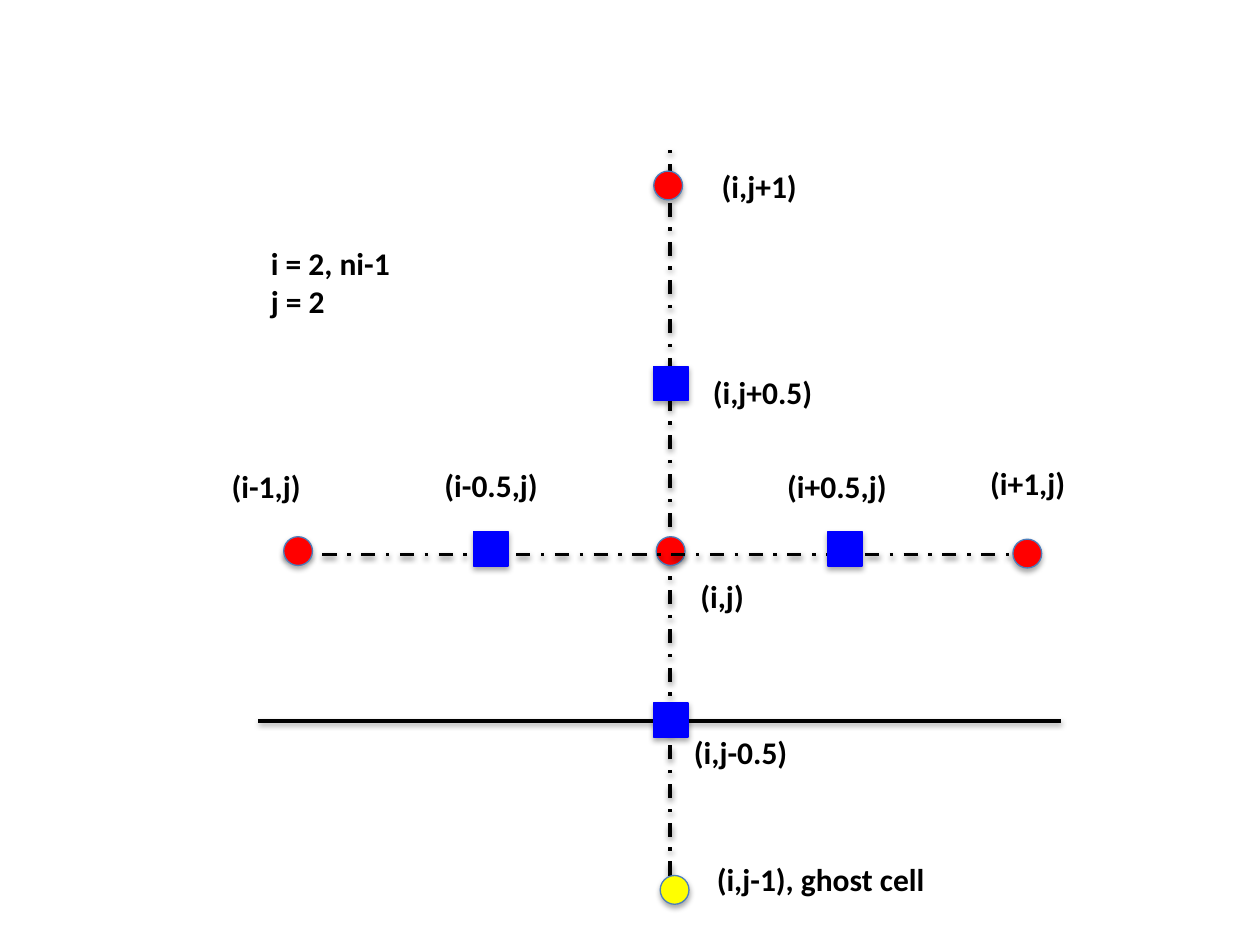
from lxml import etree
from pptx import Presentation
from pptx.dml.color import RGBColor
from pptx.enum import dml, shapes, text
from pptx.oxml import ns
from pptx.util import Cm, Pt

RED, YELLOW, BLUE, RIM, BLACK = "FF0000", "FFFF00", "0000FF", "4B7EBC", "000000"
CIRCLE = (shapes.MSO_SHAPE.OVAL, 0.58, RIM)
SQUARE = (shapes.MSO_SHAPE.RECTANGLE, 0.69, BLUE)


def rgb(value):
    return RGBColor.from_string(value)


def add_shadow(sp, dist, alpha):
    effects = etree.SubElement(sp._element.spPr, ns.qn("a:effectLst"))
    shadow = etree.SubElement(effects, ns.qn("a:outerShdw"), blurRad="40000",
                              dist=str(dist), dir="5400000", rotWithShape="0")
    color = etree.SubElement(shadow, ns.qn("a:srgbClr"), val=BLACK)
    etree.SubElement(color, ns.qn("a:alpha"), val=str(alpha * 1000))


prs = Presentation()
prs.slide_width, prs.slide_height = Cm(25.4), Cm(19.05)
s = prs.slides.add_slide(prs.slide_layouts[6])

# Wall, grid lines and nodes, from back to front
wall = (5.21, 14.53, 21.39, 14.53, None)
column = (13.51, 17.65, 13.51, 3.0, dml.MSO_LINE.DASH_DOT)
row = (5.72, 11.18, 20.7, 11.18, dml.MSO_LINE.DASH_DOT)
column_nodes = [
    (CIRCLE, RED, 13.23, 10.82),
    (CIRCLE, RED, 13.18, 3.45),
    (SQUARE, BLUE, 13.18, 14.17),
    (SQUARE, BLUE, 13.18, 7.39),
]
row_nodes = [
    (SQUARE, BLUE, 16.69, 10.72),
    (SQUARE, BLUE, 9.55, 10.72),
    (CIRCLE, RED, 20.42, 10.87),
    (CIRCLE, RED, 5.72, 10.82),
    (CIRCLE, YELLOW, 13.31, 17.65),
]
for lines, nodes in (([wall, column], column_nodes), ([row], row_nodes)):
    for x1, y1, x2, y2, dash in lines:
        ln = s.shapes.add_connector(shapes.MSO_CONNECTOR.STRAIGHT,
                                    Cm(x1), Cm(y1), Cm(x2), Cm(y2))
        ln.line.color.rgb = rgb(BLACK)
        ln.line.width = Pt(2)
        if dash:
            ln.line.dash_style = dash
        add_shadow(ln, 20000, 38)
    for (kind, size, edge), fill, x, y in nodes:
        sp = s.shapes.add_shape(kind, Cm(x), Cm(y), Cm(size), Cm(size))
        sp.fill.solid()
        sp.fill.fore_color.rgb = rgb(fill)
        sp.line.color.rgb = rgb(edge)
        sp.line.width = Pt(0.75)
        add_shadow(sp, 23000, 35)

# Index labels
labels = [
    (["(i,j)"], 13.87, 11.51, 1.52),
    (["(i,j-0.5)"], 13.74, 14.66, 2.6),
    (["(i,j+0.5)"], 14.12, 7.39, 2.6),
    (["(i,j+1)"], 14.3, 3.25, 2.4),
    (["(i-0.5,j)"], 8.71, 9.27, 2.6),
    (["(i+0.5,j)"], 15.62, 9.3, 2.6),
    (["(i-1,j)"], 4.42, 9.3, 2.6),
    (["(i+1,j)"], 19.71, 9.22, 2.6),
    (["(i,j-1), ghost cell"], 14.2, 17.22, 5.51),
    (["i = 2, ni-1", "j = 2"], 5.21, 4.8, 5.51),
]
font = {"name": "Calibri", "size": Pt(18), "bold": True}
for rows, x, y, width in labels:
    height = 1.02 + 0.78 * (len(rows) - 1)
    tf = s.shapes.add_textbox(Cm(x), Cm(y), Cm(width), Cm(height)).text_frame
    tf.word_wrap = True
    tf.auto_size = text.MSO_AUTO_SIZE.SHAPE_TO_FIT_TEXT
    tf.text = "\n".join(rows)
    for p in tf.paragraphs:
        r = p.runs[0]
        for key, value in font.items():
            setattr(r.font, key, value)
        r.font.color.rgb = rgb(BLACK)

prs.save("out.pptx")
